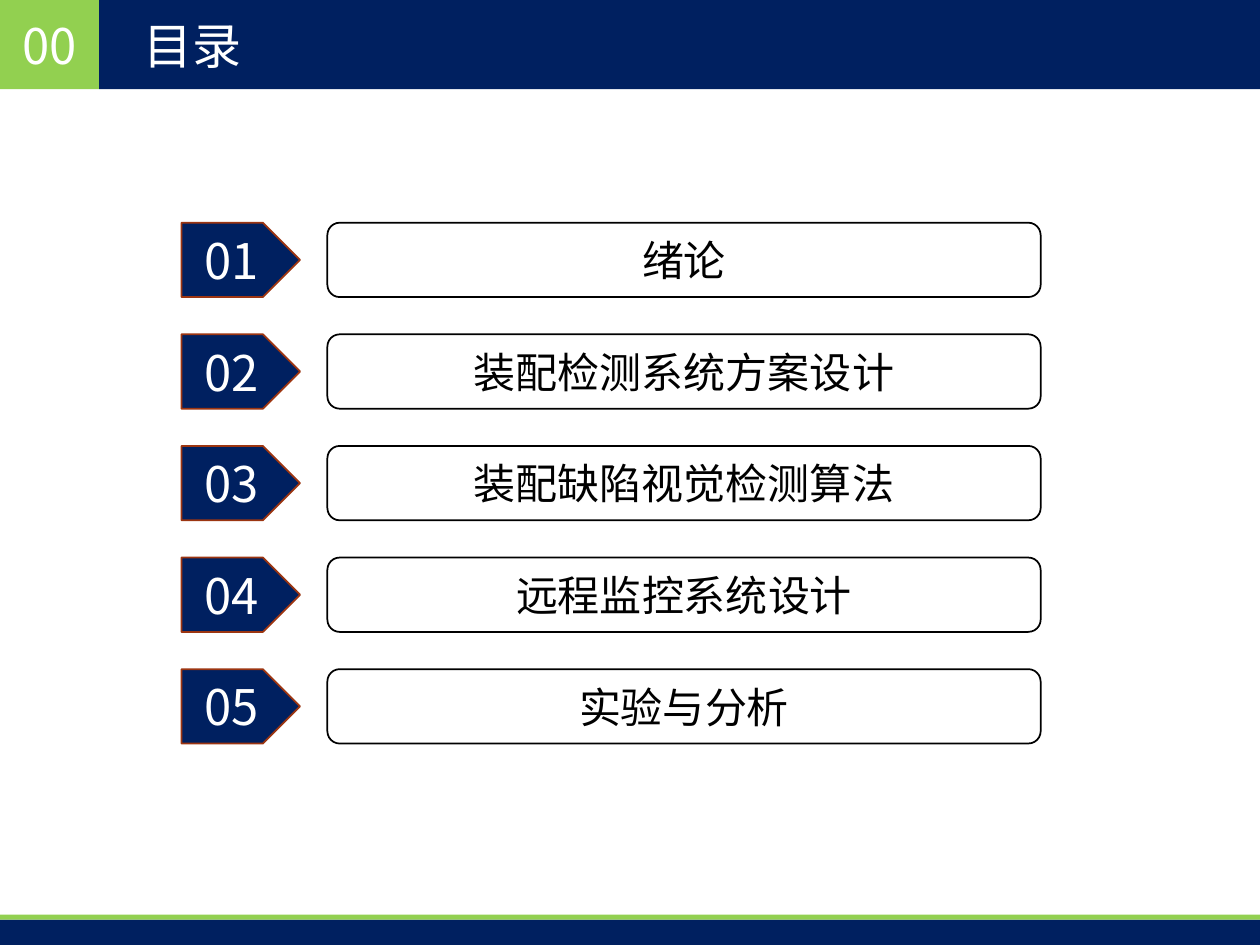
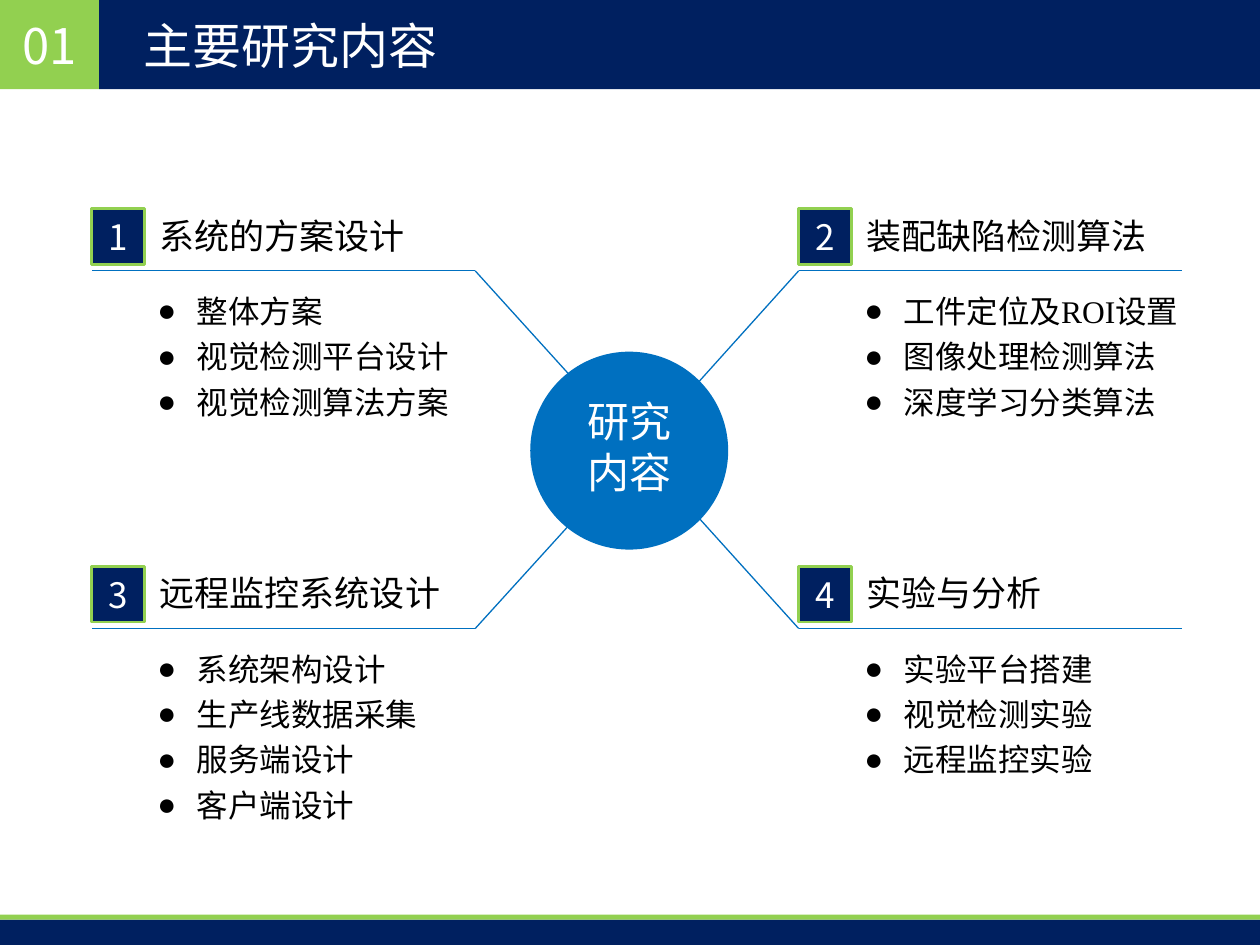
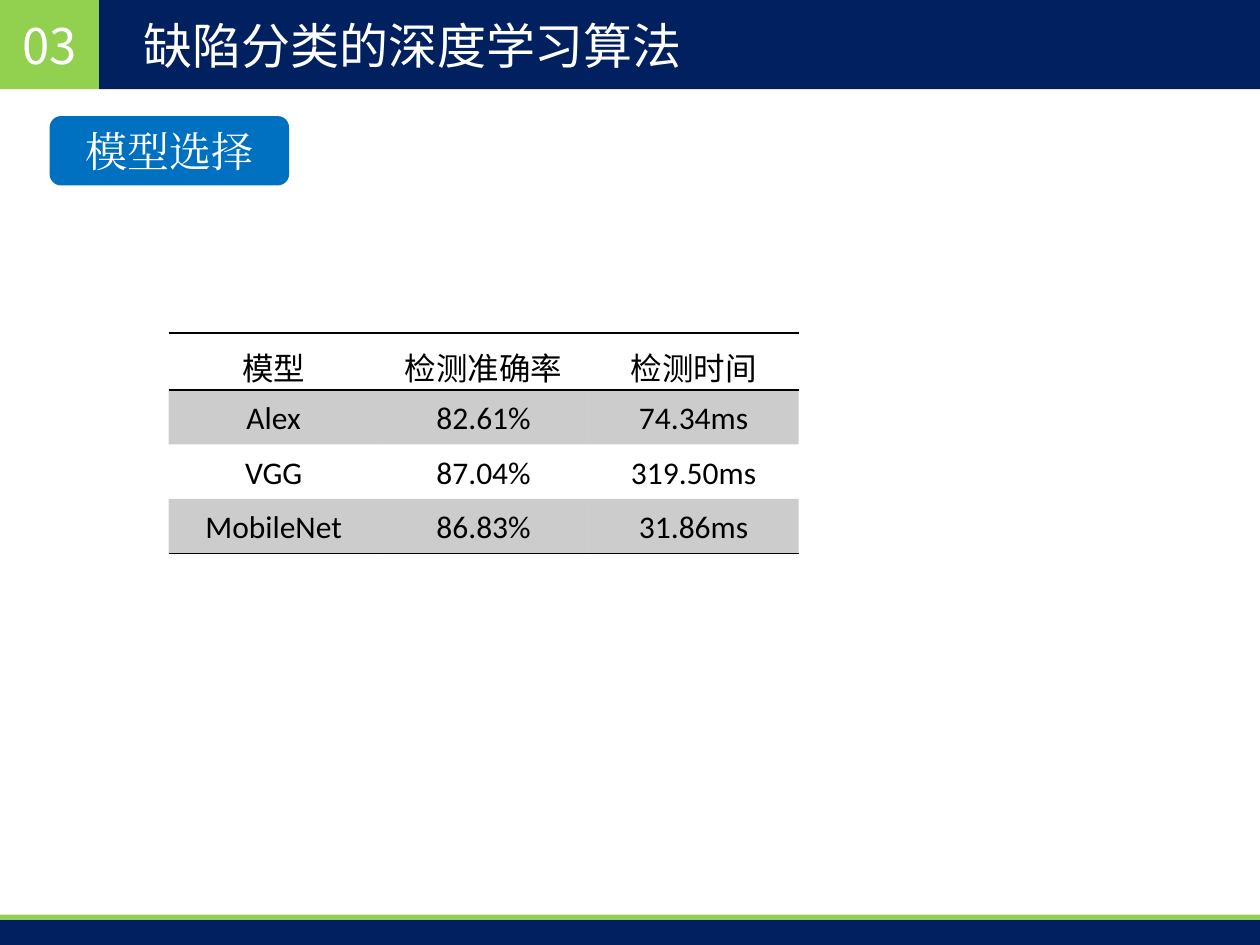
from lxml import etree
from pptx import Presentation, util as u
from pptx.dml.color import RGBColor
from pptx.enum import shapes, text
from pptx.oxml import parse_xml
from pptx.oxml.ns import nsdecls, qn

COLOURS = {"navy": "002060", "green": "92D050", "blue": "0070C0",
           "rust": "9C3511", "white": "FFFFFF", "black": "000000"}
SANS, BODY, SERIF = "Noto Sans CJK SC", "Calibri", "Times New Roman"
SHAPE = shapes.MSO_SHAPE
CENTER, LEFT = text.PP_ALIGN.CENTER, text.PP_ALIGN.LEFT
MIDDLE, TOP = text.MSO_ANCHOR.MIDDLE, text.MSO_ANCHOR.TOP


def add_box(page, kind, at, fill, line=None, width=1):
    box = page.shapes.add_shape(kind, *[u.Cm(length) for length in at])
    box.shadow.inherit = False
    box.fill.solid()
    box.fill.fore_color.rgb = RGBColor.from_string(COLOURS[fill])
    if line:
        box.line.color.rgb = RGBColor.from_string(COLOURS[line])
        box.line.width = u.Pt(width)
    else:
        box.line.fill.background()
    box.text_frame.vertical_anchor = MIDDLE
    box.text_frame.margin_top = box.text_frame.margin_bottom = 0
    return box


def add_span(para, words, size, colour, font=SANS, align=CENTER):
    para.alignment = align
    span = para.add_run()
    span.text = words
    span.font.size = u.Pt(size)
    span.font.bold = False
    span.font.color.rgb = RGBColor.from_string(COLOURS[colour])
    span.font.name = font
    # Chinese characters take the same font as Latin ones
    latin = span.font._element.find(qn("a:latin"))
    latin.addnext(parse_xml(f'<a:ea {nsdecls("a")} typeface="{font}"/>'))


deck = Presentation()
deck.slide_width, deck.slide_height = u.Cm(25.4), u.Cm(19.05)
TITLE_ONLY, FOUR_BODIES = deck.slide_layouts[5], deck.slide_layouts[4]

# Pages with section number and title
pages = []
for number, title, layout in [("00", "目录", TITLE_ONLY),
                              ("01", "主要研究内容", FOUR_BODIES),
                              ("03", "缺陷分类的深度学习算法", TITLE_ONLY)]:
    page = deck.slides.add_slide(layout)
    pages.append(page)
    number_box = page.shapes.add_textbox(0, 0, u.Cm(2), u.Cm(1.8))
    title_box = page.shapes.title
    title_box.left, title_box.top = u.Cm(2.64), 0
    title_box.width, title_box.height = u.Cm(20.4), u.Cm(1.8)
    for box, words, align in [(number_box, number, CENTER), (title_box, title, LEFT)]:
        frame = box.text_frame
        frame.word_wrap = True
        frame.auto_size = text.MSO_AUTO_SIZE.NONE
        frame.vertical_anchor = MIDDLE
        add_span(frame.paragraphs[0], words, 28, "white", align=align)
contents_page, research_page, model_page = pages

# Header and footer bands, moved to the slide master
master_tree = deck.slide_master.element.cSld.spTree
bands = [((0, 0, 2, 1.8), "green"), ((2, 0, 23.4, 1.8), "navy"),
         ((0, 18.54, 25.4, 0.51), "navy"), ((0, 18.44, 25.4, 0.1), "green")]
for index, (at, fill) in enumerate(bands):
    band = add_box(contents_page, SHAPE.RECTANGLE, at, fill)
    band.element.nvSpPr.cNvPr.set("id", str(20 + index))
    master_tree.insert(2 + index, band.element)

# Contents
chapters = ["绪论", "装配检测系统方案设计", "装配缺陷视觉检测算法",
            "远程监控系统设计", "实验与分析"]
for index, chapter in enumerate(chapters):
    top = 4.49 + index * 2.25
    plate = add_box(contents_page, SHAPE.PENTAGON, (3.66, top, 2.39, 1.5), "navy", "rust")
    add_span(plate.text_frame.paragraphs[0], f"{index + 1:02}", 28, "white")
    label = add_box(contents_page, SHAPE.ROUNDED_RECTANGLE, (6.6, top, 14.38, 1.5),
                    "white", "black")
    add_span(label.text_frame.paragraphs[0], chapter, 24, "black")

# Research topics: heading and list in each corner
topics = [
    ("系统的方案设计", [["整体方案"], ["视觉检测平台设计"], ["视觉检测算法方案"]]),
    ("装配缺陷检测算法", [["工件定位及", "ROI", "设置"], ["图像处理检测算法"],
                  ["深度学习分类算法"]]),
    ("远程监控系统设计", [["系统架构设计"], ["生产线数据采集"], ["服务端设计"], ["客户端设计"]]),
    ("实验与分析", [["实验平台搭建"], ["视觉检测实验"], ["远程监控实验"]]),
]
RULE_WIDTH, CENTRE = 7.73, (12.85, 9.07)
for index, (heading, items) in enumerate(topics):
    row, column = divmod(index, 2)
    left, rule_y = (1.85, 16.1)[column], (5.46, 12.67)[row]
    outer, inner = (left, rule_y), (left + RULE_WIDTH, rule_y)
    if column == 1:
        outer, inner = inner, outer

    # Rule and spoke
    for end in (outer, CENTRE):
        line = research_page.shapes.add_connector(
            shapes.MSO_CONNECTOR.STRAIGHT, *[u.Cm(length) for length in inner + end])
        line.line.color.rgb = RGBColor.from_string(COLOURS["blue"])
        line.line.width = u.Pt(0.75)
        etree.SubElement(line.element.spPr, qn("a:effectLst"))

    # Number and heading
    badge = add_box(research_page, SHAPE.RECTANGLE, (left, rule_y - 1.25, 1.07, 1.12),
                    "navy", "green", 1.5)
    badge.text_frame.margin_left = badge.text_frame.margin_right = 0
    add_span(badge.text_frame.paragraphs[0], str(index + 1), 20, "white")
    heading_box = research_page.shapes.add_textbox(
        u.Cm(left + 1.12), u.Cm(rule_y - 1.27), u.Cm(6.8), u.Cm(1.12))
    heading_box.text_frame.word_wrap = True
    add_span(heading_box.text_frame.paragraphs[0], heading, 20, "black", BODY, LEFT)

    # Bulleted list
    body = research_page.placeholders[index + 1]
    body.left, body.top = u.Cm(left + 1.07), u.Cm(rule_y + 0.15)
    body.width, body.height = u.Cm(6.86), u.Cm(3.9)
    frame = body.text_frame
    frame.auto_size = text.MSO_AUTO_SIZE.NONE
    frame.vertical_anchor = TOP
    for position, item in enumerate(items):
        para = frame.add_paragraph() if position else frame.paragraphs[0]
        properties = para._p.get_or_add_pPr()
        properties.set("marL", str(u.Cm(0.79)))
        properties.set("indent", str(-u.Cm(0.79)))
        etree.SubElement(properties, qn("a:buChar")).set("char", "●")
        para.line_spacing = 1.2
        para.space_before = u.Pt(0)
        for words in item:
            add_span(para, words, 18, "black", SERIF if words == "ROI" else BODY, LEFT)

# Hub
hub = add_box(research_page, SHAPE.FLOWCHART_CONNECTOR, (10.69, 7.09, 3.99, 3.99), "blue")
hub.text_frame.vertical_anchor = TOP
hub.text_frame.margin_top = u.Cm(0.1)
hub.text_frame.paragraphs[0].line_spacing = 1.2
add_span(hub.text_frame.paragraphs[0], "研究", 24, "white", "Arial")
add_span(hub.text_frame.add_paragraph(), "内容", 24, "white", "Arial")

# Model choice
tag = add_box(model_page, SHAPE.ROUNDED_RECTANGLE, (1, 2.34, 4.83, 1.4), "blue")
add_span(tag.text_frame.paragraphs[0], "模型选择", 24, "white", SERIF)

results = [["模型", "检测准确率", "检测时间"],
           ["Alex", "82.61%", "74.34ms"],
           ["VGG", "87.04%", "319.50ms"],
           ["MobileNet", "86.83%", "31.86ms"]]
table_frame = model_page.shapes.add_table(4, 3, u.Cm(3.4), u.Cm(6.71), u.Cm(12.7), u.Cm(4.4))
table = table_frame.table
table.first_row = table.horz_banding = False
style = table_frame.element.find(".//" + qn("a:tableStyleId"))
style.text = "{2D5ABB26-0587-4C30-8999-92F81FD0307C}"
borders = {0: ["lnT", "lnB"], 3: ["lnB"]}
for row, values in enumerate(results):
    for column, value in enumerate(values):
        cell = table.cell(row, column)
        cell.margin_left = cell.margin_right = u.Cm(0.19)
        cell.margin_top = cell.margin_bottom = 0
        para = cell.text_frame.paragraphs[0]
        para.line_spacing = 1.25
        add_span(para, value, 18, "black", BODY if row else SANS)
        properties = cell._tc.get_or_add_tcPr()
        if row % 2:
            cell.fill.solid()
            cell.fill.fore_color.rgb = RGBColor.from_string(COLOURS["black"])
            shade = properties.find(".//" + qn("a:srgbClr"))
            etree.SubElement(shade, qn("a:alpha")).set("val", "20000")
        else:
            cell.fill.background()
        for position, side in enumerate(borders.get(row, [])):
            properties.insert(position, parse_xml(
                f'<a:{side} {nsdecls("a")} w="12700"><a:solidFill>'
                f'<a:srgbClr val="{COLOURS["black"]}"/></a:solidFill></a:{side}>'))

deck.save("out.pptx")
